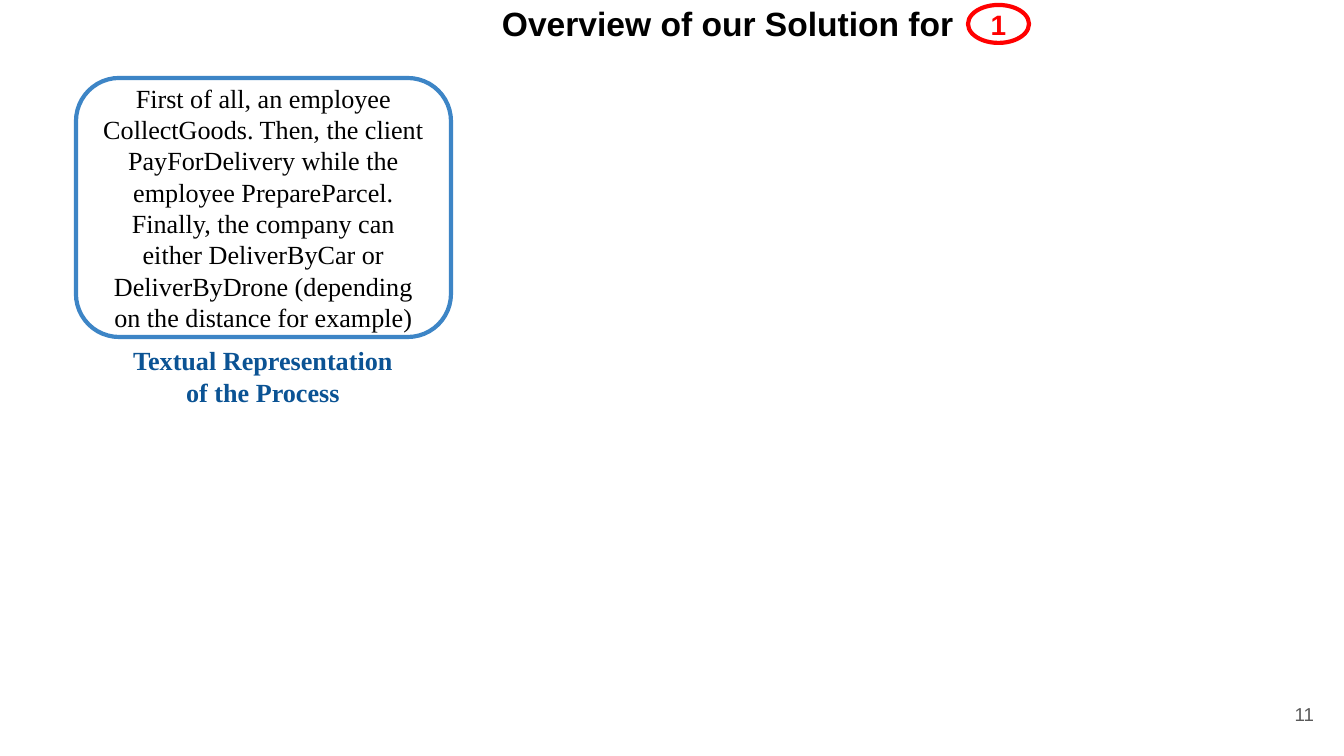
"""Build the slide that introduces the textual representation of a process."""
import pptx
import pptx.dml.color
import pptx.enum.shapes
import pptx.enum.text
import pptx.util

EMU_PER_PX = 914400 / 134.4
ALIGN = pptx.enum.text.PP_ALIGN
ANCHOR = pptx.enum.text.MSO_ANCHOR
SHAPE = pptx.enum.shapes.MSO_SHAPE


def px(length):
    return pptx.util.Emu(round(length * EMU_PER_PX))


def color(value):
    return pptx.dml.color.RGBColor.from_string(value)


presentation = pptx.Presentation()
presentation.slide_width = px(1344)
presentation.slide_height = px(756)
slide = presentation.slides.add_slide(presentation.slide_layouts[6])

number = slide.shapes.add_textbox(px(1246), px(685), px(81), px(58))
title = slide.shapes.add_textbox(px(489), px(0), px(801), px(48))
process = slide.shapes.add_shape(SHAPE.ROUNDED_RECTANGLE, px(76), px(78), px(375), px(259))
caption = slide.shapes.add_textbox(px(24), px(352), px(478), px(48))
badge = slide.shapes.add_shape(SHAPE.OVAL, px(968), px(5), px(61), px(38))

for shape, line_color in [(process, "3D85C6"), (badge, "FF0000")]:
    shape.shadow.inherit = False
    shape.fill.background()
    shape.line.color.rgb = color(line_color)
    shape.line.width = pptx.util.Pt(2.25)

process_text = (
    "First of all, an employee CollectGoods. Then, the client PayForDelivery "
    "while the employee PrepareParcel. Finally, the company can either "
    "DeliverByCar or DeliverByDrone (depending on the distance for example)"
)
contents = [
    (number, ["11"], "Arial", 10, "595959", False, ALIGN.RIGHT, None),
    (title, ["Overview of our Solution for"], "Arial", 18, "000000", True, ALIGN.LEFT, None),
    (process, [process_text], "Times New Roman", 14, "000000", False, ALIGN.CENTER, 16.8),
    (caption, ["Textual Representation", "of the Process"], "Times New Roman", 14, "0B5394",
     True, ALIGN.CENTER, 16.8),
    (badge, ["1"], "Arial", 15, "FF0000", True, ALIGN.CENTER, None),
]
for shape, lines, font_name, size, text_color, bold, alignment, spacing in contents:
    frame = shape.text_frame
    frame.word_wrap = True
    frame.vertical_anchor = ANCHOR.MIDDLE
    frame.margin_left = frame.margin_right = px(13)
    frame.margin_top = frame.margin_bottom = px(13)
    for index, line in enumerate(lines):
        paragraph = frame.add_paragraph() if index else frame.paragraphs[0]
        paragraph.alignment = alignment
        if spacing:
            paragraph.line_spacing = pptx.util.Pt(spacing)
        run = paragraph.add_run()
        run.text = line
        run.font.name = font_name
        run.font.size = pptx.util.Pt(size)
        run.font.bold = bold
        run.font.color.rgb = color(text_color)

title.text_frame.vertical_anchor = ANCHOR.TOP
title.text_frame.margin_top = px(3)

presentation.save("out.pptx")
